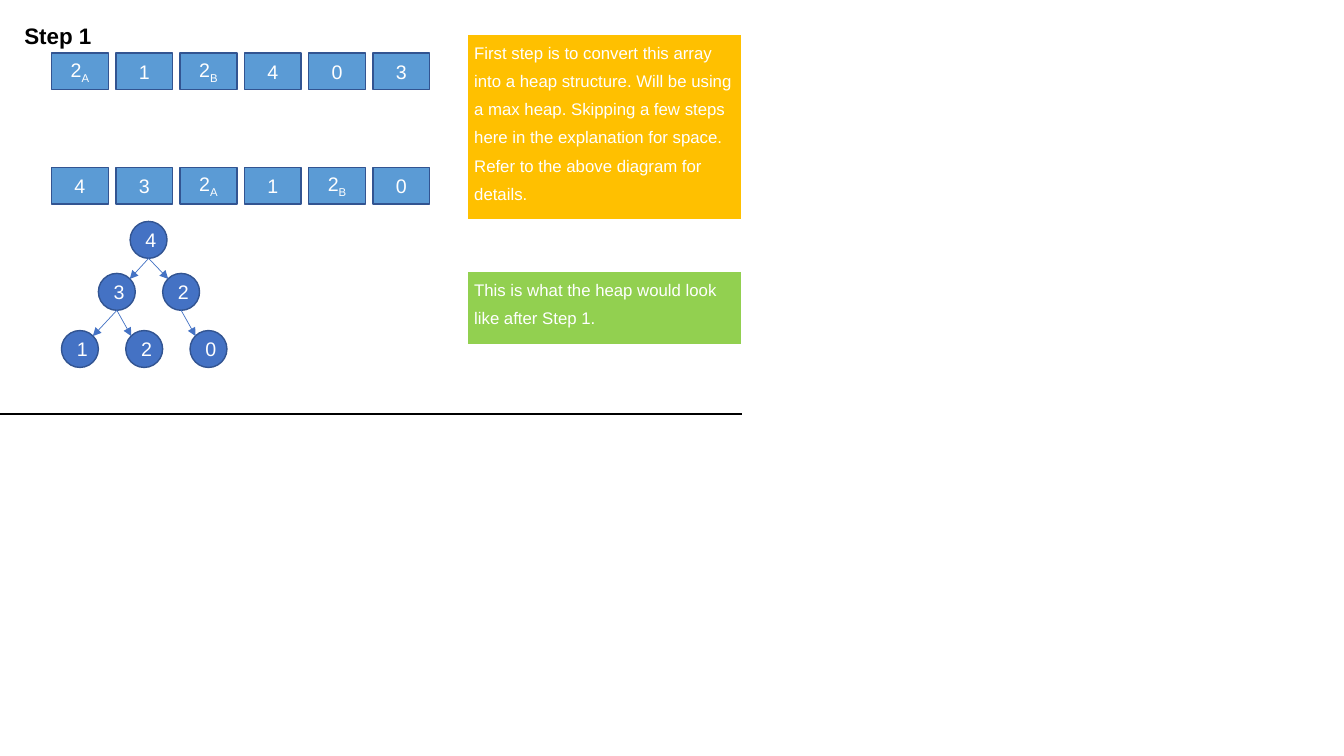
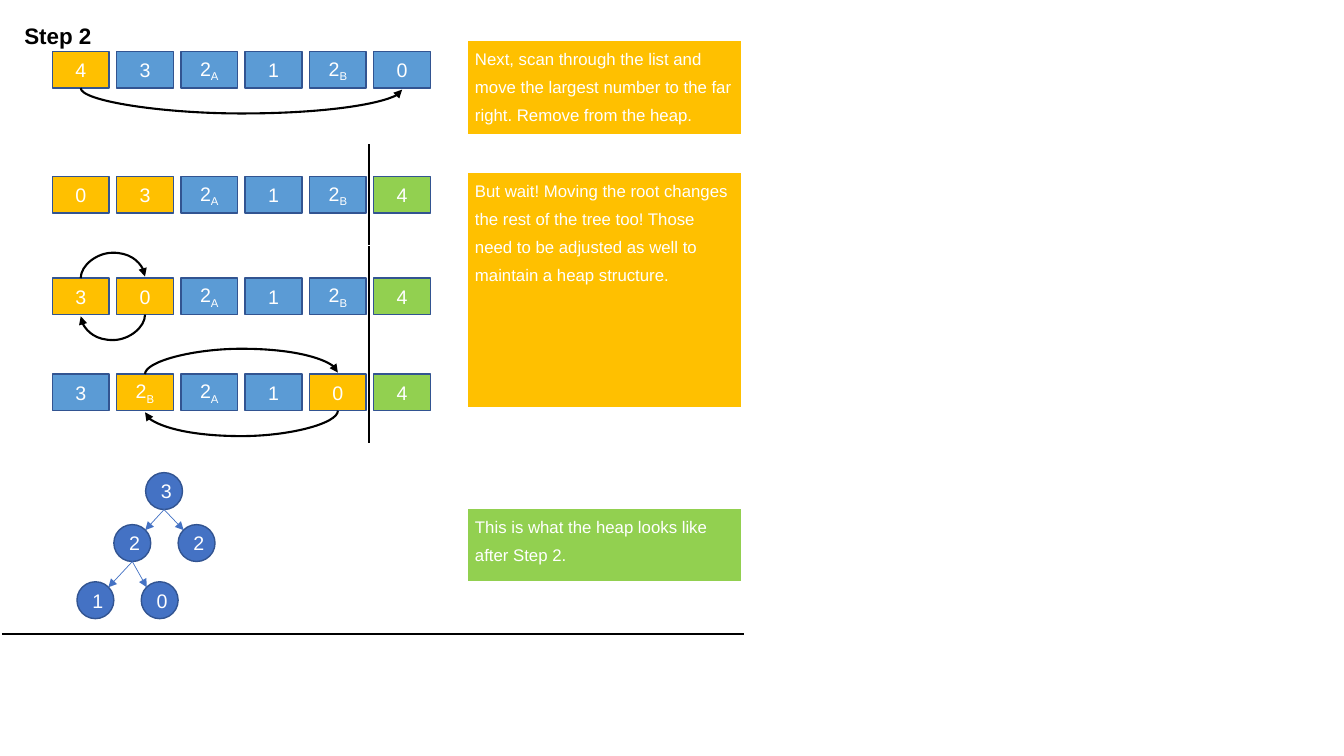
from dataclasses import dataclass

from lxml import etree
from pptx import Presentation
from pptx.dml.color import RGBColor
from pptx.enum.shapes import MSO_CONNECTOR, MSO_SHAPE
from pptx.enum.text import MSO_ANCHOR, MSO_AUTO_SIZE, PP_ALIGN
from pptx.oxml.ns import qn
from pptx.util import Cm, Pt

RECTANGLE, ELLIPSE = MSO_SHAPE.RECTANGLE, MSO_SHAPE.OVAL
STRAIGHT, CURVE = MSO_CONNECTOR.STRAIGHT, MSO_CONNECTOR.CURVE
TOP, MIDDLE = MSO_ANCHOR.TOP, MSO_ANCHOR.MIDDLE
LEFT, CENTER = PP_ALIGN.LEFT, PP_ALIGN.CENTER
NO_AUTOFIT = MSO_AUTO_SIZE.NONE
TITLE_ONLY = 5


@dataclass(frozen=True)
class Theme:
    """Colours, font, type sizes and line widths used by all slides."""
    black: str = "000000"
    white: str = "FFFFFF"
    cell: str = "5B9BD5"
    node: str = "4472C4"
    outline: str = "325491"
    active: str = "FFC000"
    done: str = "92D050"
    font: str = "Arial"
    title_size: float = 16
    value_size: float = 14
    note_size: float = 12
    thin: float = 0.5
    thick: float = 1.5


THEME = Theme()

# Lengths in centimetres
CELL_WIDTH, CELL_HEIGHT, PITCH = 1.43, 0.92, 1.62
NODE = 0.93
LEVEL_TOPS = (0, 1.31, 2.75)
NODE_SLOTS = (
    [(1.73, LEVEL_TOPS[0])]
    + [(0.93 + i * PITCH, LEVEL_TOPS[1]) for i in range(2)]
    + [(i * PITCH, LEVEL_TOPS[2]) for i in range(3)]
)
NOTE_WIDTH = 6.91
DIVIDER_WIDTH = 18.7
SORTED_LINE = (7.98, -0.81, 2.54)
BOW_STEP, BOW_DEPTH = 0.04, 0.64

# Rotation and flips of a curved connector, by (side, runs to the right)
BOW_TURNS = {
    ("below", False): (90, ()),
    ("below", True): (270, ("flipH",)),
    ("above", True): (90, ("flipH", "flipV")),
}


def add_span(para, text, size, colour, bold=False, baseline=None):
    """Add one formatted run to a paragraph."""
    span = para.add_run()
    span.text = text
    span.font.name = THEME.font
    span.font.size = Pt(size)
    span.font.bold = bold
    span.font.color.rgb = RGBColor.from_string(colour)
    if baseline is not None:
        span._r.get_or_add_rPr().set("baseline", str(baseline))


def add_value(shapes, kind, box, label, fill):
    """Add an outlined shape with a value; letters after the digit are subscript."""
    shape = shapes.add_shape(kind, *(Cm(n) for n in box))
    shape.shadow.inherit = False
    shape.fill.solid()
    shape.fill.fore_color.rgb = RGBColor.from_string(fill)
    shape.line.color.rgb = RGBColor.from_string(THEME.outline)
    shape.line.width = Pt(1)
    shape.text_frame.vertical_anchor = MIDDLE
    para = shape.text_frame.paragraphs[0]
    para.alignment = CENTER
    add_span(para, label[0], THEME.value_size, THEME.white)
    if label[1:]:
        add_span(para, label[1:], THEME.value_size, THEME.white, baseline=-25000)


def add_line(shapes, start, end, colour, width, arrow=False, kind=STRAIGHT):
    """Add a shadowless connector, with an arrowhead at its end if asked."""
    line = shapes.add_connector(kind, *(Cm(n) for n in (*start, *end)))
    line.line.color.rgb = RGBColor.from_string(colour)
    line.line.width = Pt(width)
    if arrow:
        outline = line.line._get_or_add_ln()
        etree.SubElement(outline, qn("a:tailEnd"), type="triangle")
    etree.SubElement(line._element.spPr, qn("a:effectLst"))
    return line


def add_bow(page, start_x, end_x, y, side):
    """Add a curved arrow that bows above or below the level y."""
    rightward = end_x > start_x
    rotation, flips = BOW_TURNS[side, rightward]
    span = abs(end_x - start_x)
    middle_x = (start_x + end_x) / 2
    middle_y = y + (BOW_STEP if side == "below" else -BOW_STEP) / 2
    left, top = middle_x - BOW_STEP / 2, middle_y - span / 2
    bow = add_line(page.shapes, (left, top), (left + BOW_STEP, top + span),
                   THEME.black, THEME.thick, arrow=True, kind=CURVE)
    properties = bow._element.spPr
    frame = properties.find(qn("a:xfrm"))
    frame.set("rot", str(rotation * 60000))
    for flip in flips:
        frame.set(flip, "1")
    guides = properties.find(qn("a:prstGeom")).get_or_add_avLst()
    bend = round(BOW_DEPTH / BOW_STEP * 100000)
    etree.SubElement(guides, qn("a:gd"), name="adj1", fmla=f"val {bend}")


def add_array(page, left, top, labels, fills=None, bows=(), sorted_line=False):
    """Draw an array as a row of cells, with its swap arrows and sorted-part line."""
    fills = fills or {}
    for i, label in enumerate(labels.split()):
        box = (left + i * PITCH, top, CELL_WIDTH, CELL_HEIGHT)
        add_value(page.shapes, RECTANGLE, box, label, fills.get(i, THEME.cell))
    if sorted_line:
        dx, dy, length = SORTED_LINE
        add_line(page.shapes, (left + dx, top + dy), (left + dx, top + dy + length),
                 THEME.black, THEME.thick)
    for first, last, side in bows:
        start_x, end_x = (left + i * PITCH + CELL_WIDTH / 2 for i in (first, last))
        y = top + CELL_HEIGHT if side == "below" else top
        add_bow(page, start_x, end_x, y, side)


def add_heap(page, left, top, labels):
    """Draw a heap as a grouped tree; node i hangs from node (i - 1) // 2."""
    shapes = page.shapes.add_group_shape().shapes
    slots = [(left + x, top + y) for x, y in NODE_SLOTS[:len(labels)]]
    for (x, y), label in zip(slots, labels):
        add_value(shapes, ELLIPSE, (x, y, NODE, NODE), label, THEME.node)
    for i, (x, y) in enumerate(slots[1:], start=1):
        parent_x, parent_y = slots[(i - 1) // 2]
        near_side = 0.15 if x > parent_x else 0.85
        add_line(shapes, (parent_x + NODE / 2, parent_y + NODE),
                 (x + near_side * NODE, y + 0.15 * NODE),
                 THEME.node, THEME.thin, arrow=True)


def add_note(page, left, top, height, text, fill):
    """Add a one-cell table with a white border that holds a remark."""
    box = (Cm(n) for n in (left, top, NOTE_WIDTH, height))
    table = page.shapes.add_table(1, 1, *box).table
    table.first_row = table.horz_banding = False
    cell = table.cell(0, 0)
    cell.margin_left = cell.margin_right = Cm(0.18)
    cell.margin_top = cell.margin_bottom = 0
    cell.fill.solid()
    cell.fill.fore_color.rgb = RGBColor.from_string(fill)
    para = cell.text_frame.paragraphs[0]
    para.line_spacing = 1.5
    add_span(para, text, THEME.note_size, THEME.white)
    properties = cell._tc.get_or_add_tcPr()
    for i, (edge, width) in enumerate((("L", 1), ("R", 1), ("T", 1), ("B", 3))):
        border = etree.Element(qn(f"a:ln{edge}"), w=str(Pt(width)))
        paint = etree.SubElement(border, qn("a:solidFill"))
        etree.SubElement(paint, qn("a:srgbClr"), val=THEME.white)
        properties.insert(i, border)


def add_step(deck, title, divider_left, divider_top):
    """Add a slide with its step title and closing divider."""
    page = deck.slides.add_slide(deck.slide_layouts[TITLE_ONLY])
    box = page.shapes.title
    box.left, box.top, box.width, box.height = Cm(0.36), Cm(0.43), Cm(2.24), Cm(0.94)
    frame = box.text_frame
    frame.word_wrap = False
    frame.auto_size = NO_AUTOFIT
    frame.vertical_anchor = TOP
    para = frame.paragraphs[0]
    para.alignment = LEFT
    add_span(para, title, THEME.title_size, THEME.black, bold=True)
    add_line(page.shapes, (divider_left, divider_top),
             (divider_left + DIVIDER_WIDTH, divider_top), THEME.black, THEME.thick)
    return page


def build_first_step(deck):
    """Build the slide that turns the array into a heap."""
    page = add_step(deck, "Step 1", 0, 10.44)
    left, note_left = 1.3, 11.77
    add_array(page, left, 1.34, "2A 1 2B 4 0 3")
    add_array(page, left, 4.22, "4 3 2A 1 2B 0")
    add_heap(page, 1.55, 5.58, "432120")
    add_note(page, note_left, 0.87, 4.7,
             "First step is to convert this array into a heap structure. "
             "Will be using a max heap. Skipping a few steps here in the "
             "explanation for space. Refer to the above diagram for details.",
             THEME.active)
    add_note(page, note_left, 6.84, 1.88,
             "This is what the heap would look like after Step 1.", THEME.done)


def build_second_step(deck):
    """Build the slide that moves the root out and repairs the heap."""
    page = add_step(deck, "Step 2", 0.05, 15.98)
    left, note_left = 1.32, 11.79
    active, done = THEME.active, THEME.done
    add_array(page, left, 1.3, "4 3 2A 1 2B 0", {0: active}, [(0, 5, "below")])
    repairs = (
        (4.45, "0 3 2A 1 2B 4", (0, 1), ()),
        (7.01, "3 0 2A 1 2B 4", (0, 1), ((1, 0, "below"), (0, 1, "above"))),
        (9.43, "3 2B 2A 1 0 4", (1, 4), ((4, 1, "below"), (1, 4, "above"))),
    )
    for top, labels, moved, bows in repairs:
        fills = {**dict.fromkeys(moved, active), 5: done}
        add_array(page, left, top, labels, fills, bows, sorted_line=True)
    add_heap(page, 1.94, 11.91, "32210")
    add_note(page, note_left, 1.02, 2.41,
             "Next, scan through the list and move the largest number "
             "to the far right. Remove from the heap.", active)
    add_note(page, note_left, 4.35, 5.95,
             "But wait! Moving the root changes the rest of the tree too! Those "
             "need to be adjusted as well to maintain a heap structure.", active)
    add_note(page, note_left, 12.81, 1.88,
             "This is what the heap looks like after Step 2.", done)


def main():
    """Build and save the deck."""
    deck = Presentation()
    deck.slide_width, deck.slide_height = Cm(33.87), Cm(19.05)
    build_first_step(deck)
    build_second_step(deck)
    deck.save("out.pptx")


main()
